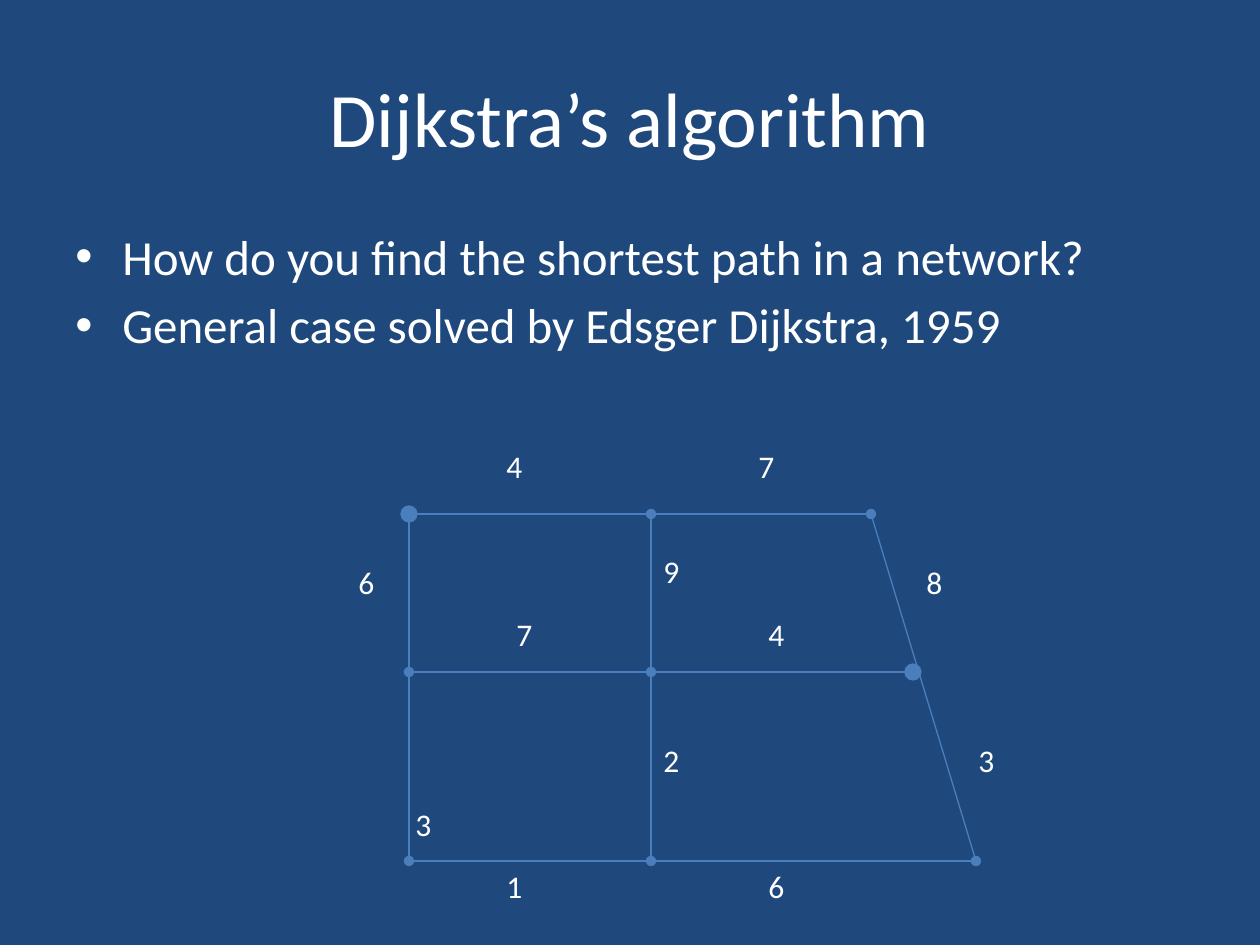
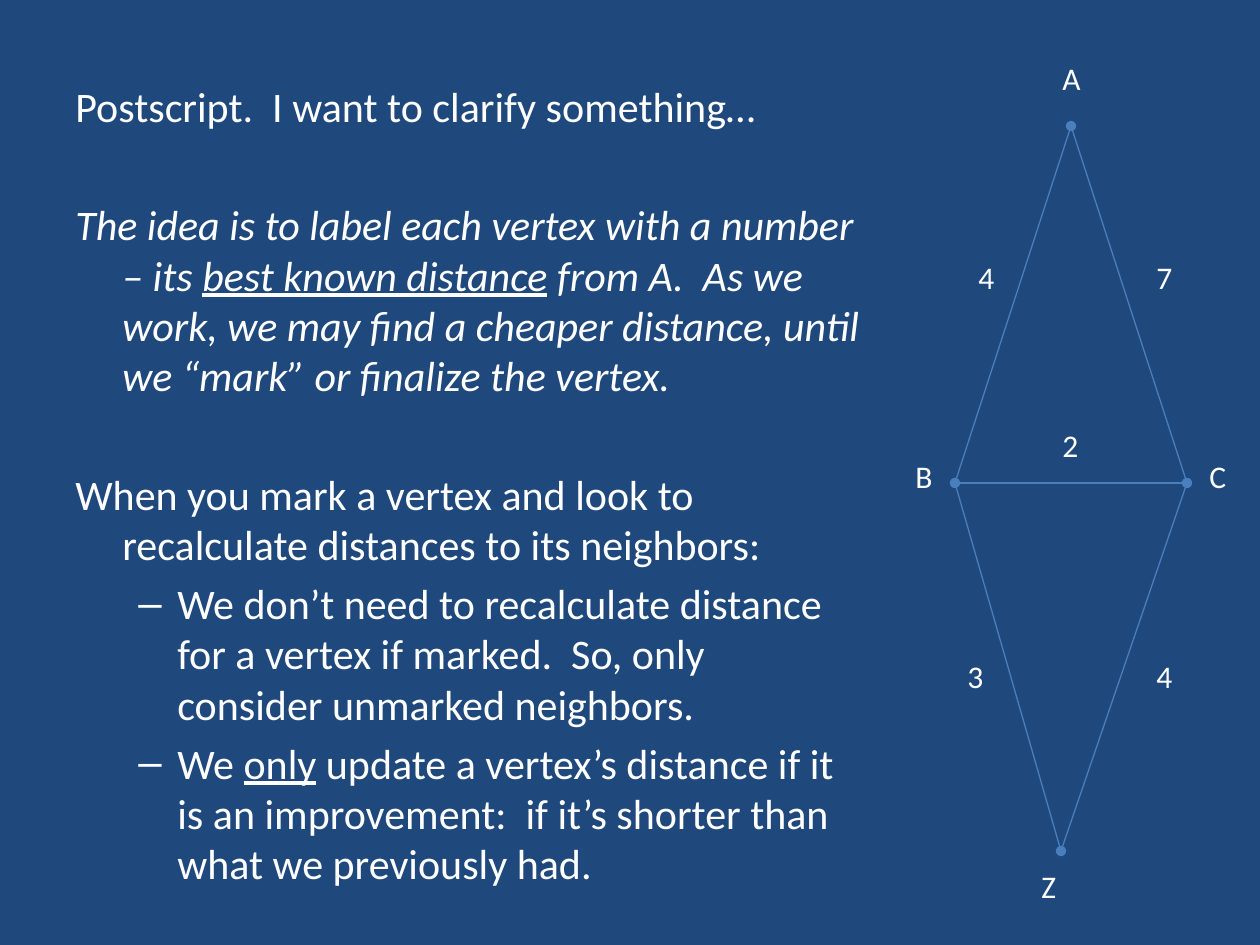
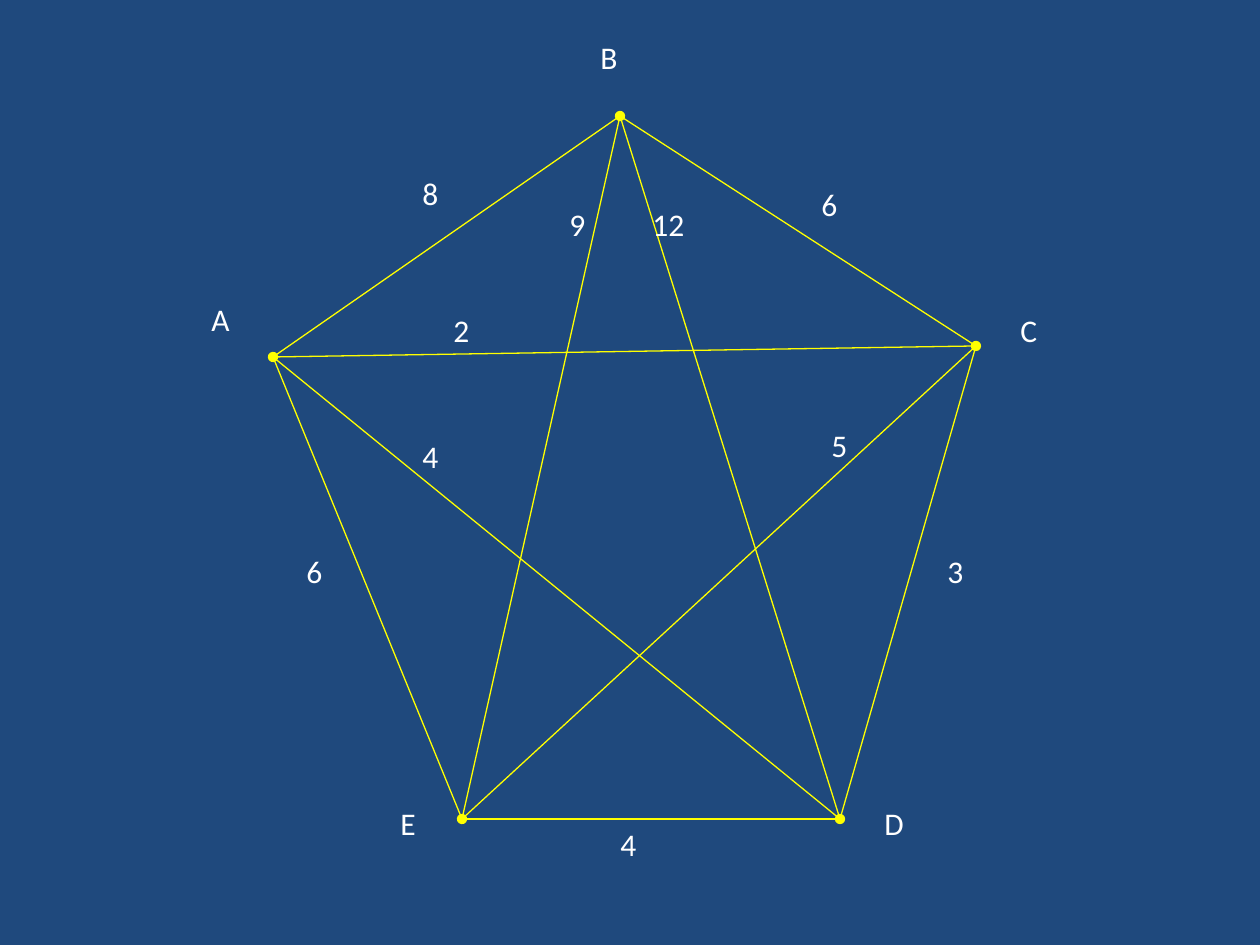
"""Build three slides about shortest paths in weighted graphs."""
from lxml.etree import SubElement
from pptx import Presentation
from pptx.dml.color import RGBColor
from pptx.enum.shapes import MSO_CONNECTOR as Connector
from pptx.enum.text import MSO_ANCHOR as Anchor, PP_ALIGN as Align
from pptx.oxml.ns import qn
from pptx.util import Pt

PX = 914400 / 126
COLORS = {"background": "1F497D", "text": "FFFFFF", "blue": "4B7EBC", "yellow": "FFFF00"}
FONT = "Calibri"
LABEL_HEIGHT = 64
LINE_HEIGHT = 1.22
SPACE_RATIO = 0.2
INDENTS = {"plain": (47, -47, None), "bullet": (47, -47, "•"), "dash": (102, -39, "–")}

SLIDES = [
    {
        "title": ("Dijkstra’s algorithm", (63, 38, 1134, 157)),
        "body": {
            "box": (63, 220, 1134, 624),
            "size": 28,
            "paragraphs": [
                ("bullet", 0, [("How do you find the shortest path in a network?", "")]),
                ("bullet", 0, [("General case solved by Edsger Dijkstra, 1959", "")]),
            ],
        },
        "color": "blue",
        "vertices": {
            "top left": (409, 514), "top": (651, 514), "top right": (871, 514),
            "left": (409, 672), "middle": (651, 672), "right": (913, 672),
            "bottom left": (409, 861), "bottom": (651, 861), "bottom right": (976, 861),
        },
        "large": ("top left", "right"),
        "edges": [
            ("top left", "top right"), ("top left", "bottom left"),
            ("bottom left", "bottom right"), ("top right", "bottom right"),
            ("left", "right"), ("top", "middle"), ("middle", "bottom"),
        ],
        "labels": [
            ("4", 494, 441, 63), ("7", 746, 441, 42), ("3", 403, 799, 57),
            ("6", 346, 557, 42), ("8", 914, 557, 42), ("3", 966, 735, 42),
            ("1", 494, 861, 53), ("6", 756, 861, 53), ("9", 651, 546, 53),
            ("2", 651, 735, 42), ("7", 504, 609, 53), ("4", 756, 609, 53),
        ],
    },
    {
        "body": {
            "box": (63, 74, 809, 840),
            "size": 24,
            "paragraphs": [
                ("plain", 0, [("Postscript.  I want to clarify something…", "")]),
                ("plain", 1, [
                    ("The idea is to label each vertex with a number – its ", "i"),
                    ("best known distance", "iu"),
                    (" from A.  As we work, we may find a cheaper distance, "
                     "until we “mark” or finalize the vertex.", "i"),
                ]),
                ("plain", 1, [("When you mark a vertex and look to recalculate "
                               "distances to its neighbors:", "")]),
                ("dash", 0, [("We don’t need to recalculate distance for a vertex if "
                              "marked.  So, only consider unmarked neighbors.", "")]),
                ("dash", 0, [
                    ("We ", ""),
                    ("only", "u"),
                    (" update a vertex’s distance if it is an improvement:  "
                     "if it’s shorter than what we previously had.", ""),
                ]),
            ],
        },
        "color": "blue",
        "vertices": {"A": (1071, 126), "B": (955, 483), "C": (1187, 483), "Z": (1061, 851)},
        "edges": ["AB", "AC", "BZ", "CZ", "BC"],
        "labels": [
            ("4", 966, 252, 42), ("7", 1144, 252, 42), ("3", 955, 651, 42),
            ("4", 1144, 651, 53), ("2", 1050, 420, 53), ("A", 1050, 53, 53),
            ("B", 903, 451, 32), ("C", 1197, 451, 42), ("Z", 1029, 861, 84),
        ],
    },
    {
        "color": "yellow",
        "vertices": {"A": (273, 357), "B": (620, 116), "C": (976, 346),
                     "D": (840, 819), "E": (462, 819)},
        "edges": ["AB", "BC", "AE", "ED", "CD", "AC", "AD", "BE", "CE", "BD"],
        "labels": [
            ("B", 588, 32, 63), ("A", 199, 294, 42), ("C", 1008, 305, 73),
            ("D", 872, 798, 73), ("E", 388, 798, 63), ("8", 410, 168, 53),
            ("6", 809, 179, 73), ("6", 294, 546, 63), ("4", 608, 819, 63),
            ("3", 935, 546, 84), ("2", 441, 305, 53), ("4", 410, 431, 63),
            ("9", 557, 199, 42), ("5", 819, 420, 63), ("12", 640, 199, 73),
        ],
    },
]


def emu(*lengths):
    return [round(length * PX) for length in lengths]


def color(name):
    return RGBColor.from_string(COLORS[name])


def format_run(run, size, style=""):
    font = run.font
    font.name, font.size = FONT, Pt(size)
    font.color.rgb = color("text")
    font.italic = "i" in style
    font.underline = "u" in style


def add_text(slide, text, box, size):
    shape = slide.shapes.add_textbox(*emu(*box))
    frame = shape.text_frame
    frame.word_wrap = True
    frame.text = text
    for run in frame.paragraphs[0].runs:
        format_run(run, size)
    return frame


def add_title(slide, text, box):
    frame = add_text(slide, text, box, 44)
    frame.vertical_anchor = Anchor.MIDDLE
    frame.paragraphs[0].alignment = Align.CENTER


def set_indent(paragraph, kind):
    margin, indent, bullet = INDENTS[kind]
    properties = paragraph._p.get_or_add_pPr()
    for name, length in zip(("marL", "indent"), emu(margin, indent)):
        properties.set(name, str(length))
    if bullet:
        SubElement(properties, qn("a:buFont")).set("typeface", "Arial")
        SubElement(properties, qn("a:buChar")).set("char", bullet)
    else:
        SubElement(properties, qn("a:buNone"))


def add_body(slide, box, size, paragraphs):
    frame = add_text(slide, "", box, size)
    gap = size * SPACE_RATIO
    for index, (kind, skipped_lines, runs) in enumerate(paragraphs):
        paragraph = frame.add_paragraph() if index else frame.paragraphs[0]
        set_indent(paragraph, kind)
        paragraph.level = 1 if kind == "dash" else 0
        if index:
            paragraph.space_before = Pt(gap + skipped_lines * (size * LINE_HEIGHT + gap))
        for text, style in runs:
            run = paragraph.add_run()
            run.text = text
            format_run(run, size, style)


def add_graph(slide, vertices, edges, color_name, large):
    dotted = set()
    for edge in edges:
        start, end = edge
        line = slide.shapes.add_connector(
            Connector.STRAIGHT, *emu(*vertices[start], *vertices[end]))
        line.line.color.rgb = color(color_name)
        line.line.width = Pt(0.75)
        for tag, vertex in (("a:headEnd", start), ("a:tailEnd", end)):
            if vertex not in dotted:
                dot = SubElement(line.line._get_or_add_ln(), qn(tag))
                dot.set("type", "oval")
                for side in ("w", "len"):
                    dot.set(side, "lg" if vertex in large else "med")
                dotted.add(vertex)
        SubElement(line._element.spPr, qn("a:effectLst"))


def main():
    presentation = Presentation()
    presentation.slide_width, presentation.slide_height = emu(1260, 945)
    for content in SLIDES:
        slide = presentation.slides.add_slide(presentation.slide_layouts[6])
        fill = slide.background.fill
        fill.solid()
        fill.fore_color.rgb = color("background")
        if "title" in content:
            add_title(slide, *content["title"])
        if "body" in content:
            add_body(slide, **content["body"])
        add_graph(slide, content["vertices"], content["edges"],
                  content["color"], content.get("large", ()))
        for text, left, top, width in content["labels"]:
            add_text(slide, text, (left, top, width, LABEL_HEIGHT), 18)
    presentation.save("out.pptx")


if __name__ == "__main__":
    main()
